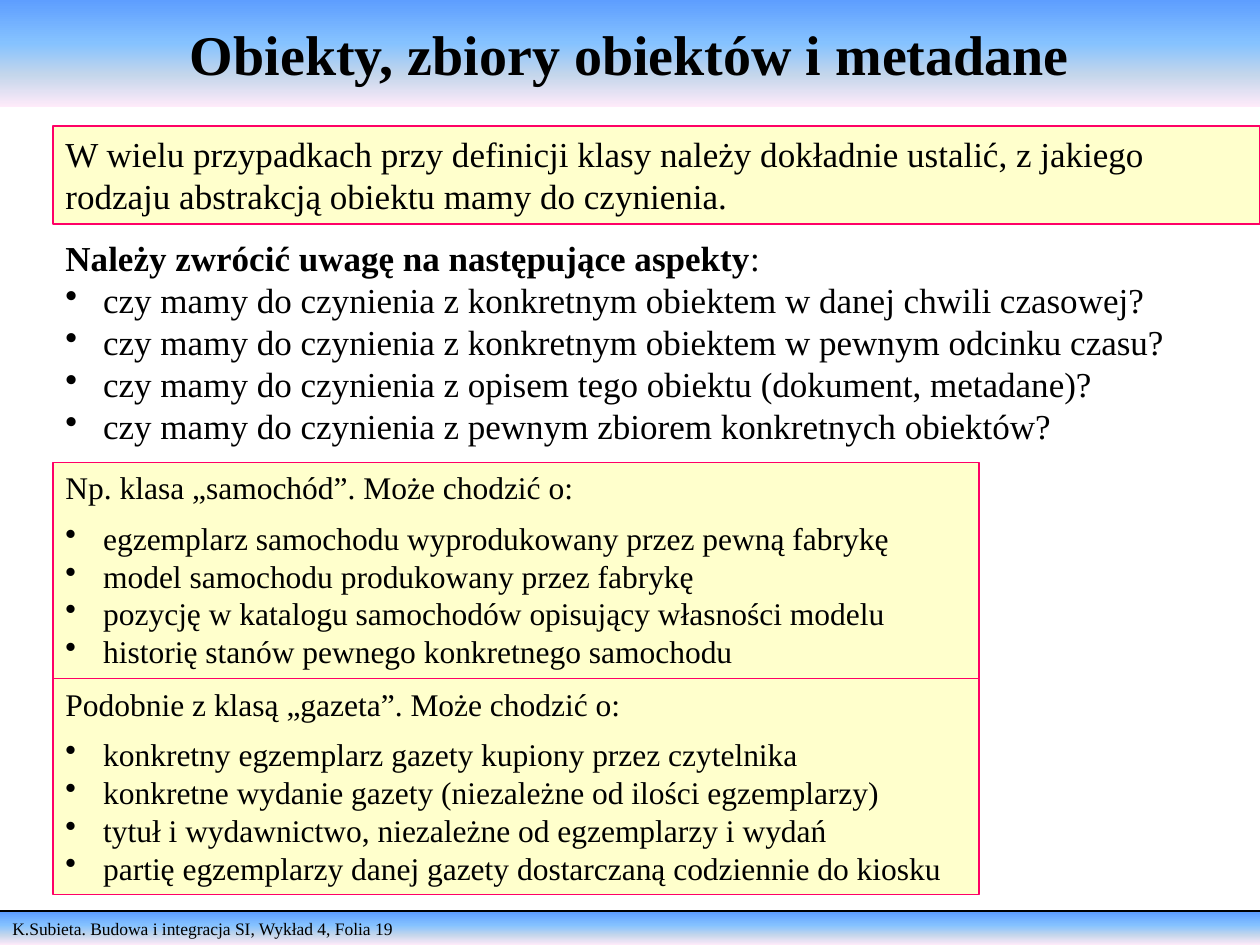
from lxml.etree import SubElement
from pptx import Presentation
from pptx.dml.color import RGBColor
from pptx.enum.shapes import MSO_CONNECTOR, MSO_SHAPE
from pptx.enum.text import MSO_ANCHOR, PP_ALIGN
from pptx.oxml.ns import qn
from pptx.util import Cm, Pt

BLACK = RGBColor(0x00, 0x00, 0x00)
CREAM = RGBColor(0xFF, 0xFF, 0xCC)
PINK = RGBColor(0xFF, 0x00, 0x66)
BAND_STOPS = [
    (0, RGBColor(0x5E, 0x9E, 0xFF)),
    (40, RGBColor(0x85, 0xC2, 0xFF)),
    (70, RGBColor(0xC4, 0xD6, 0xEB)),
    (100, RGBColor(0xFF, 0xEB, 0xFA)),
]
FONT = "Times New Roman"
LINE_FACTOR = 1.2
SLIDE_WIDTH, SLIDE_HEIGHT = Cm(25.4), Cm(19.05)
LEFT = Cm(1.07)
BULLET_INDENT = Cm(0.76)

ASPECTS = [
    "czy mamy do czynienia z konkretnym obiektem w danej chwili czasowej?",
    "czy mamy do czynienia z konkretnym obiektem w pewnym odcinku czasu?",
    "czy mamy do czynienia z opisem tego obiektu (dokument, metadane)?",
    "czy mamy do czynienia z pewnym zbiorem konkretnych obiektów?",
]
EXAMPLES = [
    ("Np. klasa „samochód”. Może chodzić o:", [
        "egzemplarz samochodu wyprodukowany przez pewną fabrykę",
        "model samochodu produkowany przez fabrykę",
        "pozycję w katalogu samochodów opisujący własności modelu",
        "historię stanów pewnego konkretnego samochodu",
    ]),
    ("Podobnie z klasą „gazeta”. Może chodzić o:", [
        "konkretny egzemplarz gazety kupiony przez czytelnika",
        "konkretne wydanie gazety (niezależne od ilości egzemplarzy)",
        "tytuł i wydawnictwo, niezależne od egzemplarzy i wydań",
        "partię egzemplarzy danej gazety dostarczaną codziennie do kiosku",
    ]),
]


def format_run(run, size, bold=False):
    run.font.name = FONT
    run.font.size = Pt(size)
    run.font.bold = bold
    run.font.color.rgb = BLACK


def write_paragraph(paragraph, text, size, bold=False):
    paragraph.text = text
    paragraph.alignment = PP_ALIGN.LEFT
    paragraph.line_spacing = Pt(size * LINE_FACTOR)
    format_run(paragraph.runs[0], size, bold)


def add_bullets(text_frame, items, size, gap=0):
    for index, item in enumerate(items):
        paragraph = text_frame.add_paragraph()
        write_paragraph(paragraph, item, size)
        paragraph.space_before = Pt(gap if index == 0 else 0)
        properties = paragraph._p.get_or_add_pPr()
        properties.set("marL", str(BULLET_INDENT))
        properties.set("indent", str(-BULLET_INDENT))
        SubElement(properties, qn("a:buChar"), char="•")


def add_rectangle(slide, left, top, width, height):
    shape = slide.shapes.add_shape(MSO_SHAPE.RECTANGLE, left, top, width, height)
    shape.shadow.inherit = False
    shape.text_frame.word_wrap = True
    shape.text_frame.vertical_anchor = MSO_ANCHOR.TOP
    return shape


def add_band(slide, top, height, text, size, bold=False):
    shape = add_rectangle(slide, 0, top, SLIDE_WIDTH, height)
    shape.line.fill.background()
    # Four colour stops running from top to bottom
    shape.fill.gradient()
    gradient = shape._element.spPr.find(qn("a:gradFill"))
    stops = gradient.find(qn("a:gsLst"))
    for stop in list(stops):
        stops.remove(stop)
    for position, color in BAND_STOPS:
        stop = SubElement(stops, qn("a:gs"), pos=str(position * 1000))
        SubElement(stop, qn("a:srgbClr"), val=str(color))
    gradient.find(qn("a:lin")).set("ang", str(90 * 60000))
    write_paragraph(shape.text_frame.paragraphs[0], text, size, bold)
    return shape


def add_note_box(slide, top, width, height, text, size):
    shape = add_rectangle(slide, LEFT, top, width, height)
    shape.fill.solid()
    shape.fill.fore_color.rgb = CREAM
    shape.line.color.rgb = PINK
    shape.line.width = Pt(0.75)
    write_paragraph(shape.text_frame.paragraphs[0], text, size)
    return shape


def add_rule(slide, top):
    connector = slide.shapes.add_connector(
        MSO_CONNECTOR.STRAIGHT, 0, top, SLIDE_WIDTH, top)
    connector.line.color.rgb = BLACK
    connector.line.width = Pt(1)
    SubElement(connector._element.spPr, qn("a:effectLst"))


def add_aspects(slide):
    text_box = slide.shapes.add_textbox(LEFT, Cm(4.65), Cm(23.75), Cm(4.5))
    text_frame = text_box.text_frame
    text_frame.word_wrap = True
    heading = text_frame.paragraphs[0]
    write_paragraph(heading, "Należy zwrócić uwagę na następujące aspekty", 20, True)
    colon = heading.add_run()
    colon.text = ":"
    format_run(colon, 20)
    add_bullets(text_frame, ASPECTS, 20)


def main():
    presentation = Presentation()
    presentation.slide_width = SLIDE_WIDTH
    presentation.slide_height = SLIDE_HEIGHT
    slide = presentation.slides.add_slide(presentation.slide_layouts[6])

    # Footer
    add_band(slide, Cm(18.39), Cm(0.66),
             "K.Subieta. Budowa i integracja SI, Wykład 4, Folia 19", 10)
    add_rule(slide, Cm(18.36))

    # Title
    title = add_band(slide, 0, Cm(2.16), "Obiekty, zbiory obiektów i metadane", 32, True)
    title.text_frame.vertical_anchor = MSO_ANCHOR.MIDDLE
    title.text_frame.paragraphs[0].alignment = PP_ALIGN.CENTER

    # Introduction and the aspects to consider
    add_note_box(slide, Cm(2.54), SLIDE_WIDTH - LEFT, Cm(1.98),
                 "W wielu przypadkach przy definicji klasy należy dokładnie ustalić, "
                 "z jakiego rodzaju abstrakcją obiektu mamy do czynienia.", 20)
    add_aspects(slide)

    # Stacked example boxes
    box_height = Cm(4.36)
    for index, (heading, items) in enumerate(EXAMPLES):
        box = add_note_box(slide, Cm(9.32) + index * box_height, Cm(18.67),
                           box_height, heading, 18)
        add_bullets(box.text_frame, items, 18, gap=7.2)

    presentation.save("out.pptx")


if __name__ == "__main__":
    main()
